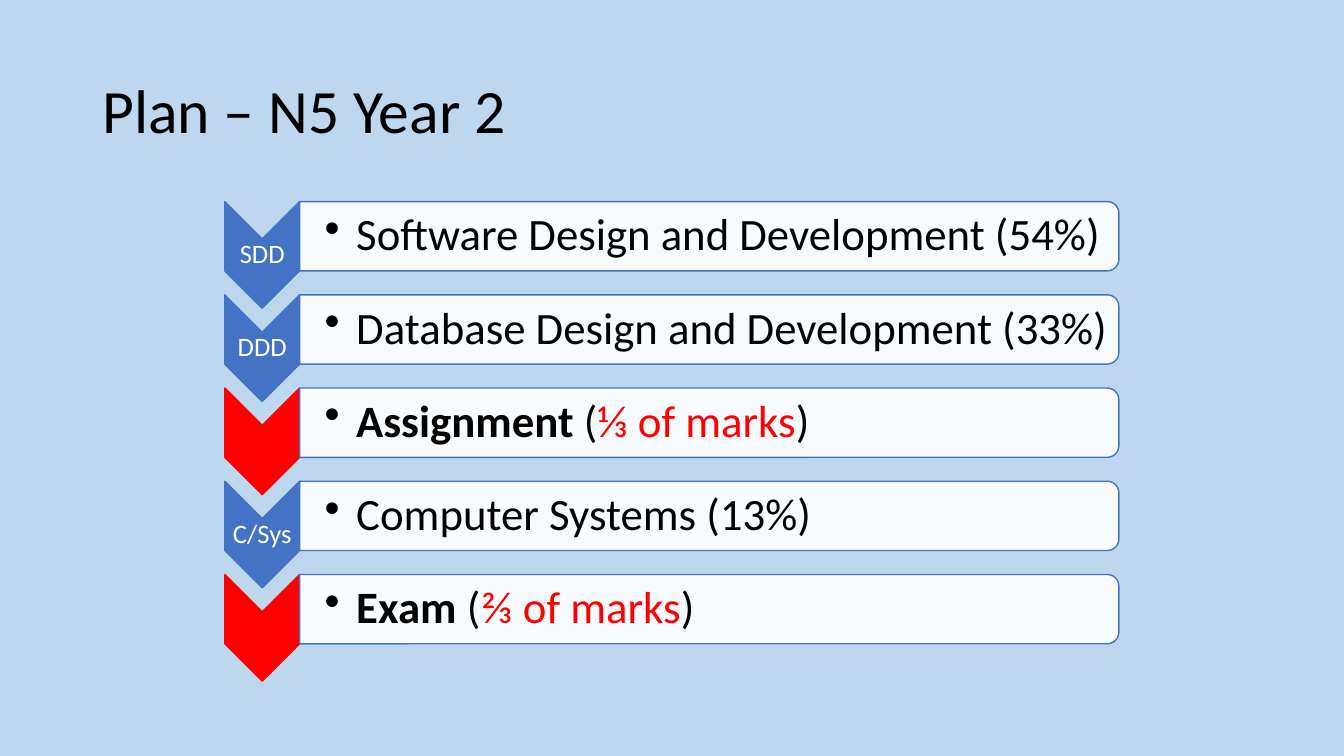
import pptx
import pptx.dml.color
import pptx.enum.shapes
import pptx.enum.text
import pptx.oxml.ns
import pptx.util
from lxml import etree

Pt = pptx.util.Pt
SHAPE = pptx.enum.shapes.MSO_SHAPE
ALIGN = pptx.enum.text.PP_ALIGN
COLOURS = {"sky": "BDD7EE", "blue": "4472C4", "red": "FF0000", "white": "FFFFFF", "black": "000000"}

# Each step: chevron label, chevron colour, runs of (text, colour, bold)
STEPS = [
    ("SDD", "blue", [("Software Design and Development (54%)", "black", False)]),
    ("DDD", "blue", [("Database Design and Development (33%)", "black", False)]),
    ("", "red", [("Assignment", "black", True), (" (", "black", False),
                 ("⅓ of marks", "red", False), (")", "black", False)]),
    ("C/Sys", "blue", [("Computer Systems (13%)", "black", False)]),
    ("", "red", [("Exam", "black", True), (" (", "black", False),
                 ("⅔ of marks", "red", False), (")", "black", False)]),
]
STEP_PITCH = 66.6


def colour(name):
    return pptx.dml.color.RGBColor.from_string(COLOURS[name])


class PlanSlide:
    font = "Calibri"

    def __init__(self, page):
        self.page = page
        page.background.fill.solid()
        page.background.fill.fore_color.rgb = colour("sky")

    def turned_shape(self, kind, left, top, width, height, fill, line, opacity=100):
        """Shape turned a quarter clockwise; the frame is the one seen after turning."""
        shift = (width - height) / 2
        shape = self.page.shapes.add_shape(
            kind, Pt(left + shift), Pt(top - shift), Pt(height), Pt(width))
        shape.rotation = 90
        shape.shadow.inherit = False
        shape.fill.solid()
        shape.fill.fore_color.rgb = colour(fill)
        shape.line.color.rgb = colour(line)
        shape.line.width = Pt(1)
        if opacity < 100:
            tint = shape.fill._xPr.find(".//" + pptx.oxml.ns.qn("a:srgbClr"))
            etree.SubElement(tint, pptx.oxml.ns.qn("a:alpha"), val=str(opacity * 1000))

    def text(self, left, top, width, height, spans, size, insets,
             align=ALIGN.LEFT, bullet_indent=0):
        box = self.page.shapes.add_textbox(Pt(left), Pt(top), Pt(width), Pt(height))
        frame = box.text_frame
        frame.word_wrap = True
        frame.vertical_anchor = pptx.enum.text.MSO_ANCHOR.MIDDLE
        frame.margin_left, frame.margin_top, frame.margin_right, frame.margin_bottom = map(Pt, insets)
        para = frame.paragraphs[0]
        para.alignment = align
        para.line_spacing = 0.9
        if bullet_indent:
            props = para._p.get_or_add_pPr()
            props.set("marL", str(Pt(bullet_indent)))
            props.set("indent", str(-Pt(bullet_indent)))
            etree.SubElement(props, pptx.oxml.ns.qn("a:buChar"), char="•")
        para.font.size = Pt(size)
        for words, tone, bold in spans:
            span = para.add_run()
            span.text = words
            span.font.name = self.font
            span.font.size = Pt(size)
            span.font.bold = bold
            span.font.color.rgb = colour(tone)


def main():
    deck = pptx.Presentation()
    deck.slide_width, deck.slide_height = Pt(960), Pt(540)
    plan = PlanSlide(deck.slides.add_slide(deck.slide_layouts[6]))

    # Title
    plan.text(66, 28.8, 828, 104.4, [("Plan – N5 Year 2", "black", False)],
              44, (7.2, 3.6, 7.2, 3.6))

    # Steps: chevron, label, bar and description
    for index, (label, tone, spans) in enumerate(STEPS):
        top = 144 + index * STEP_PITCH
        plan.turned_shape(SHAPE.CHEVRON, 160.6, top, 53.4, 76.2, tone, tone)
        if label:
            plan.text(160.6, top + 26.7, 53.4, 22.8, [(label, "white", False)],
                      19, (0.9,) * 4, ALIGN.CENTER)
        plan.turned_shape(SHAPE.ROUND_2_SAME_RECTANGLE, 214, top, 585.2, 49.5,
                          "white", "blue", opacity=90)
        plan.text(214, top + 2.4, 582.8, 44.7, spans, 32,
                  (18, 1.6, 1.6, 1.6), bullet_indent=22.5)

    deck.save("out.pptx")


if __name__ == "__main__":
    main()
